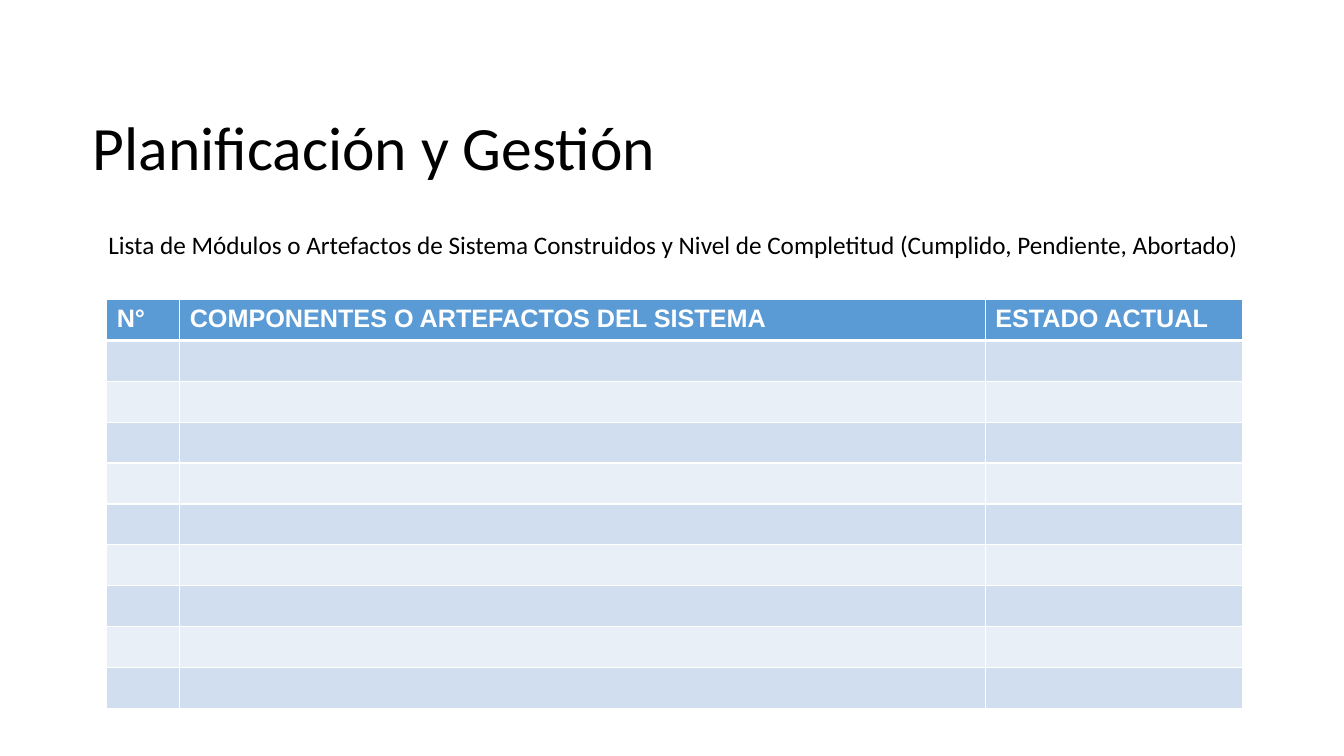
"""Build the planning and management slide with its component status table."""
from dataclasses import dataclass

from lxml.etree import SubElement
from pptx import Presentation
from pptx.dml.color import RGBColor as Color
from pptx.enum.text import MSO_ANCHOR as Anchor
from pptx.oxml.ns import qn
from pptx.util import Pt


@dataclass(frozen=True)
class Theme:
    text: str = "000000"
    white: str = "FFFFFF"
    header: str = "5B9BD5"
    bands: tuple = ("E9EFF7", "D0DEEF")
    body_font: str = "Calibri"
    table_font: str = "Arial"
    title_size: int = 44
    body_size: int = 18


theme = Theme()


def add_text(slide, text, box, size, anchor):
    shape = slide.shapes.add_textbox(*[Pt(length) for length in box])
    frame = shape.text_frame
    frame.word_wrap = True
    frame.vertical_anchor = anchor
    paragraph = frame.paragraphs[0]
    paragraph.text = text
    paragraph.font.name = theme.body_font
    paragraph.font.size = Pt(size)
    paragraph.font.color.rgb = Color.from_string(theme.text)
    return paragraph


def style_cell(cell, fill, edges):
    properties = cell._tc.get_or_add_tcPr()
    for edge, width in edges.items():
        line = SubElement(properties, qn(f"a:{edge}"), w=str(Pt(width)))
        solid = SubElement(line, qn("a:solidFill"))
        SubElement(solid, qn("a:srgbClr"), val=theme.white)
    cell.fill.solid()
    cell.fill.fore_color.rgb = Color.from_string(fill)


presentation = Presentation()
presentation.slide_width = Pt(960)
presentation.slide_height = Pt(540)
slide = presentation.slides.add_slide(presentation.slide_layouts[6])

title = add_text(slide, "Planificación y Gestión", (59.3, 55.5, 828, 104.4),
                 theme.title_size, Anchor.MIDDLE)
title.line_spacing = 0.9
add_text(slide,
         "Lista de Módulos o Artefactos de Sistema Construidos y Nivel de Completitud "
         "(Cumplido, Pendiente, Abortado)",
         (70.3, 160, 831, 29), theme.body_size, Anchor.TOP)

columns = {"N°": 52.2, "COMPONENTES O ARTEFACTOS DEL SISTEMA": 575.4, "ESTADO ACTUAL": 183.6}
row_count, row_height = 10, 29.2
table = slide.shapes.add_table(row_count, len(columns), Pt(76.2), Pt(214),
                               Pt(sum(columns.values())), Pt(row_count * row_height)).table
for column, width in zip(table.columns, columns.values()):
    column.width = Pt(width)

for index, row in enumerate(table.rows):
    row.height = Pt(row_height)
    fill = theme.bands[index % 2] if index else theme.header
    edges = {"lnL": 1, "lnR": 1, "lnT": 3 if index == 1 else 1, "lnB": 1 if index else 3}
    for cell in row.cells:
        style_cell(cell, fill, edges)
        cell.text_frame.paragraphs[0].font.size = Pt(theme.body_size)

for cell, heading in zip(table.rows[0].cells, columns):
    paragraph = cell.text_frame.paragraphs[0]
    paragraph.text = heading
    paragraph.font.name = theme.table_font
    paragraph.font.bold = True
    paragraph.font.color.rgb = Color.from_string(theme.white)

presentation.save("out.pptx")
